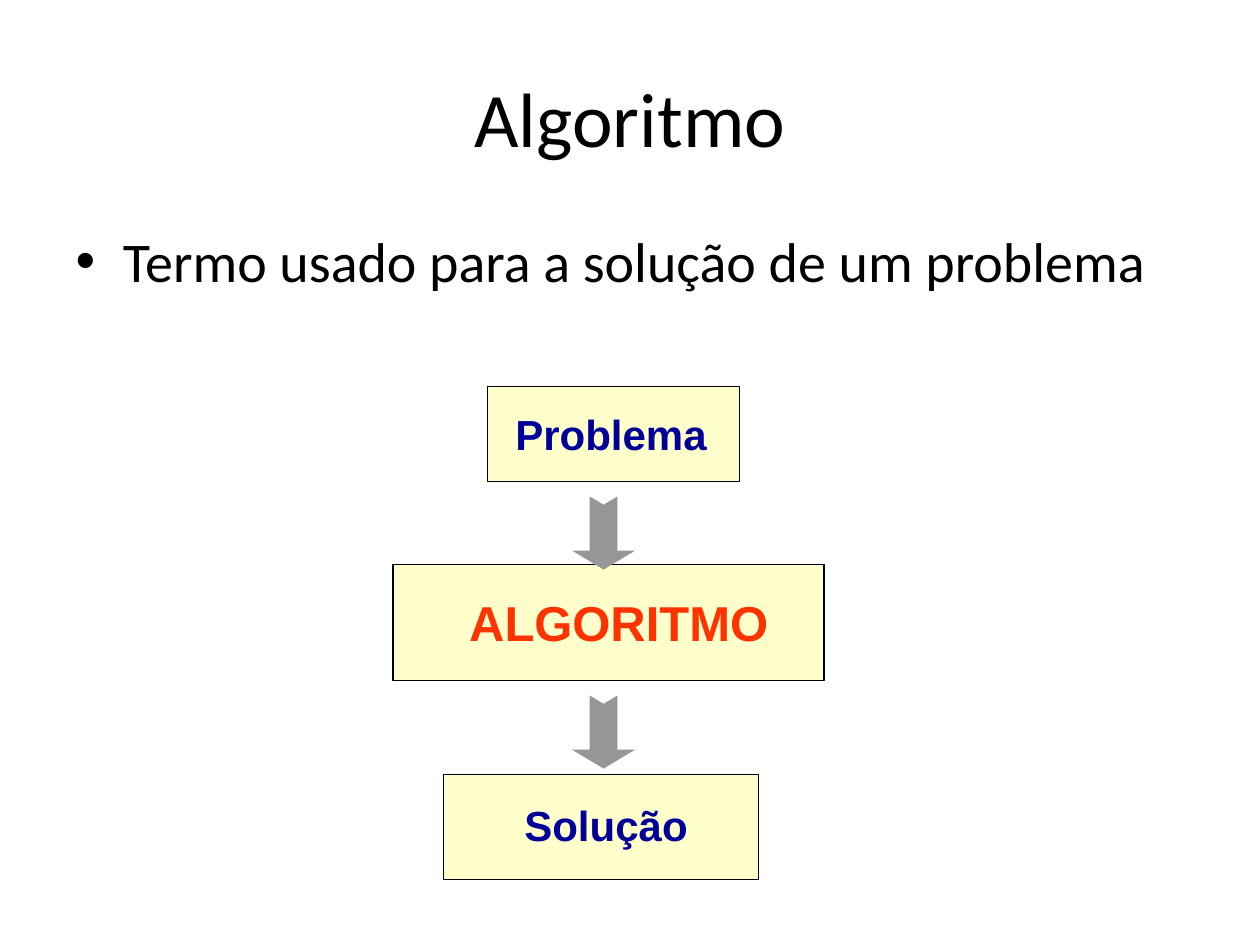
"""Build a slide showing an algorithm as the path from problem to solution."""
from dataclasses import dataclass

from pptx import Presentation
from pptx.dml.color import RGBColor
from pptx.enum import shapes, text
from pptx.util import Inches, Pt

INK = {"black": "000000", "cream": "FFFFCC", "navy": "000099",
       "red": "FF3300", "gray": "969696"}
Area = tuple[float, float, float, float]


@dataclass
class Step:
    word: str
    box: Area
    label: Area
    size: int
    ink: str


STEPS = [
    Step("Problema", (3.87, 3.07, 2, 0.75), (3.9, 3.19, 1.9, 0.5), 24, "navy"),
    Step("ALGORITMO", (3.12, 4.48, 3.42, 0.92), (3.2, 4.65, 3.42, 0.57), 28, "red"),
    Step("Solução", (3.52, 6.15, 2.5, 0.83), (3.52, 6.3, 2.58, 0.5), 24, "navy"),
]
ARROWS = [(4.5, 3.98, 0.58, 0.5), (4.5, 5.56, 0.58, 0.5)]


def color(name: str) -> RGBColor:
    return RGBColor.from_string(INK[name])


def style(para, font: str, size: int, ink: str, bold: bool = False) -> None:
    para.space_before = Pt(0)
    para.font.name = font
    para.font.size = Pt(size)
    para.font.bold = bold
    para.font.color.rgb = color(ink)


def fill_holder(holder, words: str, area: Area, size: int) -> None:
    holder.left, holder.top, holder.width, holder.height = map(Inches, area)
    holder.text_frame.text = words
    style(holder.text_frame.paragraphs[0], "Calibri", size, "black")


def draw_shape(group, kind, area: Area, ink: str):
    shape = group.shapes.add_shape(kind, *map(Inches, area))
    shape.shadow.inherit = False
    shape.fill.solid()
    shape.fill.fore_color.rgb = color(ink)
    return shape


def draw_step(group, step: Step) -> None:
    box = draw_shape(group, shapes.MSO_SHAPE.RECTANGLE, step.box, "cream")
    box.line.color.rgb = color("black")
    box.line.width = Pt(0.75)
    label = group.shapes.add_textbox(*map(Inches, step.label))
    frame = label.text_frame
    frame.word_wrap = True
    frame.text = step.word
    para = frame.paragraphs[0]
    para.alignment = text.PP_ALIGN.CENTER
    style(para, "Arial", step.size, step.ink, True)


def draw_arrow(group, area: Area) -> None:
    arrow = draw_shape(group, shapes.MSO_SHAPE.NOTCHED_RIGHT_ARROW, area, "gray")
    arrow.line.fill.background()
    arrow.rotation = 90
    arrow.adjustments[0] = 0.44
    arrow.adjustments[1] = 0.3


def main() -> None:
    deck = Presentation()
    deck.slide_width, deck.slide_height = Inches(10), Inches(7.5)
    slide = deck.slides.add_slide(deck.slide_layouts[1])
    title, body = slide.placeholders
    fill_holder(title, "Algoritmo", (0.5, 0.3, 9, 1.25), 44)
    fill_holder(body, "Termo usado para a solução de um problema",
                (0.5, 1.75, 9, 4.95), 32)
    group = slide.shapes.add_group_shape()
    for step in STEPS:
        draw_step(group, step)
    for area in ARROWS:
        draw_arrow(group, area)
    deck.save("out.pptx")


if __name__ == "__main__":
    main()
